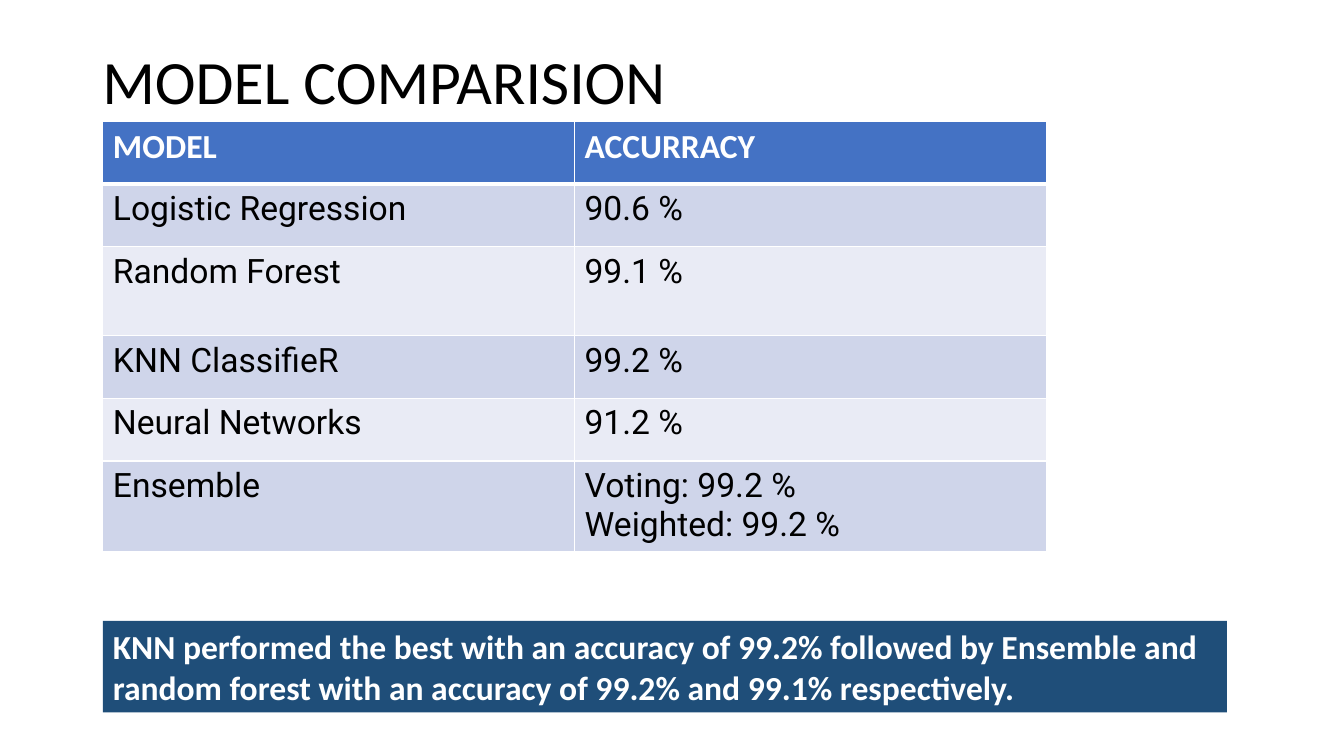
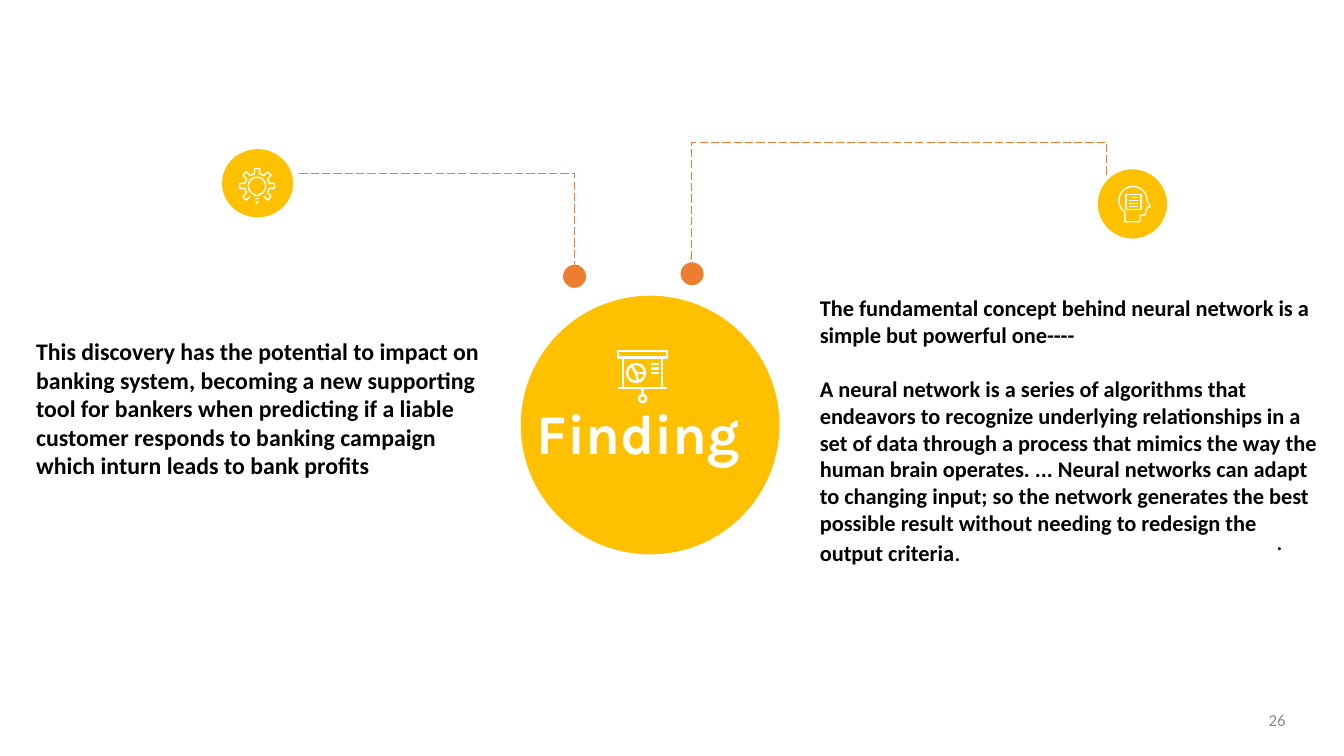
"""Build the model comparison and findings slides."""
import math

import lxml.etree
import pptx
import pptx.dml.color
import pptx.enum.dml
import pptx.enum.shapes
import pptx.enum.text
import pptx.oxml.ns
import pptx.util

COLORS = {
    "white": "FFFFFF", "black": "000000", "grey": "8C8C8C",
    "header": "4472C4", "band_dark": "CFD5EA", "band_light": "E9EBF5",
    "callout": "1F4E79", "gold": "FFC000", "orange": "ED7D31",
}
COLUMNS, ROWS = 160, 90
CELL = pptx.util.Inches(7.5) // ROWS
MARGIN = 12.25
SHAPES = pptx.enum.shapes.MSO_SHAPE
CONNECTORS = pptx.enum.shapes.MSO_CONNECTOR
ALIGN = pptx.enum.text.PP_ALIGN
MIDDLE = pptx.enum.text.MSO_ANCHOR.MIDDLE

MODELS = [
    ("MODEL", "ACCURRACY"),
    ("Logistic Regression", "90.6 %"),
    ("Random Forest", "99.1 %"),
    ("KNN ClassifieR", "99.2 %"),
    ("Neural Networks", "91.2 %"),
    ("Ensemble", "Voting: 99.2 %\nWeighted: 99.2 %"),
]
CONCLUSION = (
    "KNN performed the best with an accuracy of 99.2% followed by Ensemble and "
    "random forest with an accuracy of 99.2% and 99.1% respectively."
)
DISCOVERY = (
    "This discovery has the potential to impact on banking system, becoming a new "
    "supporting tool for bankers when predicting if a liable customer responds to "
    "banking campaign which inturn leads to bank profits"
)
CONCEPT = (
    "The fundamental concept behind neural network is a simple but powerful one----\n"
    "A neural network is a series of algorithms that endeavors to recognize "
    "underlying relationships in a set of data through a process that mimics the way "
    "the human brain operates. ... Neural networks can adapt to changing input; so "
    "the network generates the best possible result without needing to redesign the "
    "output criteria"
)


def grid(*lengths):
    """Turn grid columns or rows into slide lengths."""
    return [pptx.util.Emu(round(length * CELL)) for length in lengths]


def color(name):
    """Look up a named colour."""
    return pptx.dml.color.RGBColor.from_string(COLORS[name])


def style_font(font, size, tint="black", bold=False, face="Calibri"):
    """Set the look of a run or paragraph."""
    font.size, font.bold, font.name = pptx.util.Pt(size), bold, face
    font.color.rgb = color(tint)


def write(frame, text, size, tint="black", bold=False, face="Calibri", align=ALIGN.LEFT):
    """Fill a text frame with paragraphs in one style."""
    frame.text = text
    frame.word_wrap = True
    for paragraph in frame.paragraphs:
        paragraph.alignment = align
        for span in paragraph.runs:
            style_font(span.font, size, tint, bold, face)


def add_text(page, area, text, size, inset=0.0, **look):
    """Add a vertically centred text box."""
    frame = page.shapes.add_textbox(*grid(*area)).text_frame
    frame.vertical_anchor = MIDDLE
    frame.margin_left = frame.margin_right = pptx.util.Inches(inset)
    frame.margin_top = frame.margin_bottom = pptx.util.Inches(inset / 2)
    write(frame, text, size, **look)
    return frame


def paint(shape, fill=None, outline=None, width=1):
    """Give a shape its fill and outline without a shadow."""
    shape.shadow.inherit = False
    if fill:
        shape.fill.solid()
        shape.fill.fore_color.rgb = color(fill)
    else:
        shape.fill.background()
    if outline:
        shape.line.color.rgb = color(outline)
        shape.line.width = pptx.util.Pt(width)
    else:
        shape.line.fill.background()
    return shape


def add_shape(shapes, preset, area, fill=None, outline=None, width=1):
    """Add a painted preset shape."""
    return paint(shapes.add_shape(preset, *grid(*area)), fill, outline, width)


def add_trace(shapes, points, close=False, width=1):
    """Add a white outline through the points."""
    places = [grid(*point) for point in points]
    builder = shapes.build_freeform(*places[0])
    builder.add_line_segments(places[1:], close=close)
    return paint(builder.convert_to_shape(), outline="white", width=width)


def add_line(shapes, start, end, tint="white", width=1, kind=CONNECTORS.STRAIGHT):
    """Add a connector without a shadow."""
    line = shapes.add_connector(kind, *grid(*start, *end))
    line.line.color.rgb = color(tint)
    line.line.width = pptx.util.Pt(width)
    lxml.etree.SubElement(line._element.spPr, pptx.oxml.ns.qn("a:effectLst"))
    return line


def add_elbow(page, start, end, bends):
    """Add a dashed elbow whose bends are shares of its extent."""
    line = add_line(page.shapes, start, end, "orange", 0.75, CONNECTORS.ELBOW)
    line.line.dash_style = pptx.enum.dml.MSO_LINE.LONG_DASH
    geometry = line._element.spPr.find(pptx.oxml.ns.qn("a:prstGeom"))
    geometry.set("prst", f"bentConnector{len(bends) + 2}")
    guides = geometry.find(pptx.oxml.ns.qn("a:avLst"))
    if guides is None:
        guides = lxml.etree.SubElement(geometry, pptx.oxml.ns.qn("a:avLst"))
    for number, bend in enumerate(bends, 1):
        guide = lxml.etree.SubElement(guides, pptx.oxml.ns.qn("a:gd"))
        guide.set("name", f"adj{number}")
        guide.set("fmla", f"val {round(bend * 100000)}")


def arc(center, radius, first, last, steps=24):
    """List points on an arc, in degrees clockwise from the right."""
    angles = [math.radians(first + (last - first) * step / steps) for step in range(steps + 1)]
    return [(center[0] + radius * math.cos(angle), center[1] + radius * math.sin(angle))
            for angle in angles]


def border_cell(cell, top, bottom):
    """Draw white borders around a table cell."""
    properties = cell._tc.get_or_add_tcPr()
    for place, (side, width) in enumerate([("L", 1), ("R", 1), ("T", top), ("B", bottom)]):
        line = lxml.etree.Element(pptx.oxml.ns.qn(f"a:ln{side}"), w=str(pptx.util.Pt(width)))
        fill = lxml.etree.SubElement(line, pptx.oxml.ns.qn("a:solidFill"))
        lxml.etree.SubElement(fill, pptx.oxml.ns.qn("a:srgbClr"), val=COLORS["white"])
        properties.insert(place, line)


def add_table(page, left, top, column_width, row_heights, rows):
    """Add a banded table with a header row."""
    area = grid(left, top, column_width * len(rows[0]), sum(row_heights))
    table = page.shapes.add_table(len(rows), len(rows[0]), *area).table
    for column in table.columns:
        column.width = grid(column_width)[0]
    for number, (row, height, texts) in enumerate(zip(table.rows, grid(*row_heights), rows)):
        row.height = height
        header = number == 0
        fill = "header" if header else ("band_light", "band_dark")[number % 2]
        for cell, text in zip(row.cells, texts):
            write(cell.text_frame, text, 24, "white" if header else "black", header,
                  "Calibri" if header else "Roboto")
            cell.fill.solid()
            cell.fill.fore_color.rgb = color(fill)
            border_cell(cell, 3 if number == 1 else 1, 3 if header else 1)


def add_board_icon(page):
    """Draw a presentation board with a pie chart."""
    shapes = page.shapes.add_group_shape().shapes
    stroke = 1.75
    add_shape(shapes, SHAPES.RECTANGLE, (73.6, 41.8, 5.8, 0.78), None, "white", stroke)
    board = add_shape(shapes, SHAPES.RECTANGLE, (74.16, 42.6, 4.68, 3.6), None, "white", stroke)
    knob = add_shape(shapes, SHAPES.OVAL, (76.08, 47.04, 0.84, 0.84), None, "white", stroke)
    add_shape(shapes, SHAPES.OVAL, (74.64, 43.32, 2.16, 2.16), None, "white", stroke)
    add_line(shapes, (73.56, 46.2), (79.44, 46.2), width=stroke)
    stem = add_line(shapes, (76.5, 46.2), (76.5, 47.04), width=stroke)
    stem.begin_connect(board, 2)
    stem.end_connect(knob, 0)
    add_trace(shapes, [(75.18, 43.5), (75.72, 44.4), (76.8, 44.4)], width=stroke)
    add_line(shapes, (75.72, 44.4), (75.96, 45.48), width=stroke)
    for row in range(3):
        level = 43.32 + row * 0.54
        add_line(shapes, (77.5, level), (78.4, level), width=stroke)


def add_gear_icon(page, x=30.6, y=22.14):
    """Draw a gear with a light bulb in its middle."""
    shapes = page.shapes.add_group_shape().shapes
    teeth = []
    for tooth in range(1, 8):
        turn = math.radians(90 + 45 * tooth)
        for out, side in [(1.45, -0.3), (2.08, -0.3), (2.08, 0.3), (1.45, 0.3)]:
            teeth.append((x + out * math.cos(turn) - side * math.sin(turn),
                          y + out * math.sin(turn) + side * math.cos(turn)))
    add_trace(shapes, teeth)
    neck = [(x + 0.25, y + 1.14), (x - 0.25, y + 1.14)]
    add_trace(shapes, arc((x, y), 1.04, 104, 436) + neck, close=True)
    for level in (1.5, 1.86):
        add_line(shapes, (x - 0.24, y + level), (x + 0.24, y + level))
    add_line(shapes, (x, y + 1.86), (x, y + 2.1))


def add_head_icon(page):
    """Draw a head in profile with a page of text."""
    shapes = page.shapes.add_group_shape().shapes
    face = [(133.92, 26.4), (135.72, 26.4), (135.72, 25.68), (136.32, 25.56),
            (136.56, 24.72), (136.92, 24.6)]
    add_trace(shapes, arc((134.88, 23.88), 1.68, 0, -235) + face, close=True)
    add_shape(shapes, SHAPES.RECTANGLE, (134.04, 23.16, 1.8, 1.8), None, "white")
    for row, start in enumerate([134.76, 134.4, 134.4, 134.4]):
        level = 23.52 + row * 0.36
        add_line(shapes, (start, level), (135.48, level))


def build_comparison(page):
    """Lay out the accuracy table and its conclusion."""
    title = add_text(page, (11, 1.35, 138, 17.4), "MODEL COMPARISION", 44, inset=0.1)
    title.paragraphs[0].line_spacing = 0.9
    add_table(page, MARGIN, 14.5, 56.15, [7.45, 7.45, 10.6, 7.45, 7.45, 10.6], MODELS)
    callout = add_shape(page.shapes, SHAPES.RECTANGLE, (MARGIN, 73.9, 133.8, 10.9), "callout")
    write(callout.text_frame, CONCLUSION, 24, "white", True)


def build_finding(page):
    """Lay out the finding circle and its two explanations."""
    add_shape(page.shapes, SHAPES.OVAL, (62, 35.2, 30.8, 30.8), "gold")
    for left, top in [(80.6, 30.8), (66.6, 31.1)]:
        add_shape(page.shapes, SHAPES.OVAL, (left, top, 3.6, 3.6), "orange", "white", 5)
    add_text(page, (60.7, 47.4, 30.6, 8), "Finding", 40, tint="white", bold=True,
             face="Karla", align=ALIGN.CENTER)
    add_board_icon(page)
    add_text(page, (4.3, 40, 54.6, 17.2), DISCOVERY, 17, bold=True)
    concept = add_text(page, (97.6, 34.8, 59.8, 32.8), CONCEPT, 16, bold=True)
    explanation = concept.paragraphs[1]
    explanation.space_before = pptx.util.Pt(19.5)
    period = explanation.add_run()
    period.text = "."
    style_font(period.font, 18)
    add_elbow(page, (35.64, 20.64), (68.88, 31.56), [0.987])
    add_elbow(page, (82.2, 30.72), (131.76, 21.24), [0.003, 1.453])
    for area in [(26.16, 17.5, 9, 8.64), (130.44, 19.9, 8.76, 8.76)]:
        add_shape(page.shapes, SHAPES.OVAL, area, "gold", "white", 3)
    add_gear_icon(page)
    add_head_icon(page)
    add_text(page, (108.8, 62.5, 43.9, 3.6), ".", 18, align=ALIGN.RIGHT)
    add_text(page, (150.2, 84.1, 3.7, 3.2), "26", 12, tint="grey", align=ALIGN.CENTER)


def main():
    """Build and save the deck."""
    deck = pptx.Presentation()
    deck.slide_width, deck.slide_height = grid(COLUMNS, ROWS)
    for build in (build_comparison, build_finding):
        build(deck.slides.add_slide(deck.slide_layouts[6]))
    deck.save("out.pptx")


if __name__ == "__main__":
    main()
